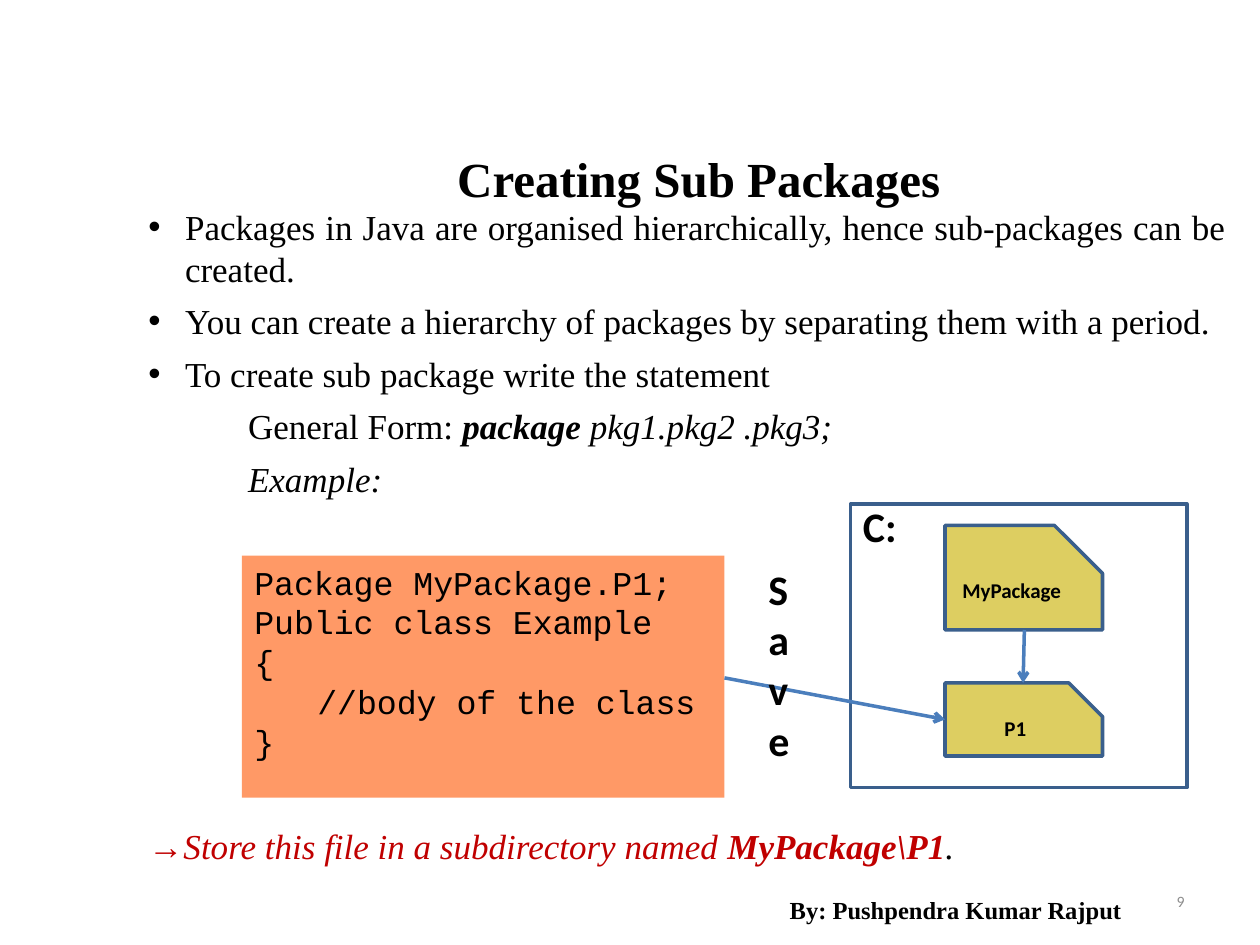
from lxml import etree
from pptx import Presentation
from pptx.dml.color import RGBColor
from pptx.enum import shapes, text
from pptx.oxml.ns import qn
from pptx.util import Inches, Pt

BLACK = RGBColor(0x00, 0x00, 0x00)
RED = RGBColor(0xC0, 0x00, 0x00)
GREY = RGBColor(0x8C, 0x8C, 0x8C)
ORANGE = RGBColor(0xFF, 0x99, 0x66)
YELLOW = RGBColor(0xDD, 0xCE, 0x61)
OUTLINE = RGBColor(0x3A, 0x5F, 0x8C)
ARROW = RGBColor(0x4B, 0x7E, 0xBC)
SERIF, SANS, MONO = "Times New Roman", "Calibri", "Courier New"
LEFT, CENTER = text.PP_ALIGN.LEFT, text.PP_ALIGN.CENTER
RIGHT, JUSTIFY = text.PP_ALIGN.RIGHT, text.PP_ALIGN.JUSTIFY
TOP, MIDDLE = text.MSO_ANCHOR.TOP, text.MSO_ANCHOR.MIDDLE

# Content
TITLE = "Creating Sub Packages"
BULLETS = [
    "Packages in Java are organised hierarchically, hence sub-packages can be created.",
    "You can create a hierarchy of packages by separating them with a period.",
    "To create sub package write the statement",
]
FORMS = [
    [("General Form: ", {}), ("package ", {"bold": True, "italic": True}),
     ("pkg1.pkg2 .pkg3;", {"italic": True})],
    [("Example:", {"italic": True})],
]
STORE = [
    ("→Store this file in a subdirectory named ", {"italic": True, "color": RED}),
    ("MyPackage\\P1", {"italic": True, "bold": True, "color": RED}),
    (".", {"italic": True}),
]
# Code lines with their indent in inches
CODE = [("Package MyPackage.P1;", 0), ("Public class Example", 0), ("{", 0),
        ("//body of the class", 0.5), ("}", 0)]
FOLDERS = [("MyPackage", (7.5, 4.17, 1.25, 0.83)), ("P1", (7.5, 5.42, 1.25, 0.58))]
ARROWS = [((5.75, 5.38), (7.5, 5.71)), ((8.13, 5), (8.12, 5.42))]
BIG = {"size": Pt(24), "name": SANS, "bold": True}
LABELS = [
    ("Save", (6, 4.42, 0.5, 1.72), LEFT, TOP, BIG),
    ("C:", (6.75, 3.92, 0.5, 0.5), LEFT, TOP, BIG),
    ("By: Pushpendra Kumar Rajput", (6, 7.02, 3.17, 0.4), CENTER, MIDDLE,
     {"size": Pt(14), "name": SERIF, "bold": True}),
    ("9", (7.17, 6.95, 2.33, 0.4), RIGHT, MIDDLE,
     {"size": Pt(9), "name": SANS, "color": GREY}),
]


def box(at):
    return [Inches(v) for v in at]


def add_run(p, words, fmt):
    r = p.add_run()
    r.text = words
    for key, value in {"color": BLACK, **fmt}.items():
        if key == "color":
            r.font.color.rgb = value
        else:
            setattr(r.font, key, value)


def set_indent(p, left, first=0):
    pPr = p._p.get_or_add_pPr()
    pPr.set("marL", str(Inches(left)))
    pPr.set("indent", str(Inches(first)))
    return pPr


def prepare(sp, anchor):
    tf = sp.text_frame
    tf.word_wrap = True
    tf.vertical_anchor = anchor
    return tf


def next_paragraph(tf, i):
    return tf.add_paragraph() if i else tf.paragraphs[0]


def add_shape(s, kind, at, fill=None, line=None):
    sp = s.shapes.add_shape(kind, *box(at))
    sp.shadow.inherit = False
    if fill is None:
        sp.fill.background()
    else:
        sp.fill.solid()
        sp.fill.fore_color.rgb = fill
    if line is None:
        sp.line.fill.background()
    else:
        sp.line.color.rgb = line
        sp.line.width = Pt(2)
    return sp


def add_label(s, words, at, align, anchor, fmt):
    p = prepare(s.shapes.add_textbox(*box(at)), anchor).paragraphs[0]
    p.alignment = align
    add_run(p, words, fmt)


def add_arrow(s, start, end):
    line = s.shapes.add_connector(shapes.MSO_CONNECTOR.STRAIGHT, *box(start + end))
    line.line.color.rgb = ARROW
    line.line.width = Pt(2)
    etree.SubElement(line.line._get_or_add_ln(), qn("a:tailEnd"), type="arrow")
    etree.SubElement(line._element.spPr, qn("a:effectLst"))


def add_body(s):
    tf = prepare(s.shapes.add_textbox(*box((1.08, 1.58, 8.75, 5.92))), TOP)
    rows = [("bullet", [(b, {})]) for b in BULLETS]
    rows += [("form", f) for f in FORMS] + [("store", STORE)]
    for i, (kind, runs) in enumerate(rows):
        p = next_paragraph(tf, i)
        p.alignment = LEFT if kind == "store" else JUSTIFY
        p.space_after = Pt(6)
        if kind == "form":
            set_indent(p, 0.79)
        else:
            pPr = set_indent(p, 0.29, -0.29)
        if kind == "store":
            p.space_before = Pt(180)  # room for the diagram
        if kind == "bullet":
            etree.SubElement(pPr, qn("a:buFont"), typeface="Arial")
            etree.SubElement(pPr, qn("a:buChar"), char="•")
        for words, fmt in runs:
            add_run(p, words, {"size": Pt(20), "name": SERIF, **fmt})


def main():
    prs = Presentation()
    prs.slide_width, prs.slide_height = Inches(10), Inches(7.5)
    s = prs.slides.add_slide(prs.slide_layouts[5])

    # Title and body
    title = s.shapes.title
    title.left, title.top, title.width, title.height = box((1.67, 1.08, 7.75, 0.58))
    p = prepare(title, TOP).paragraphs[0]
    p.alignment, p.line_spacing, p.space_before = CENTER, 1.1, Pt(0)
    add_run(p, TITLE, {"size": Pt(28), "name": SERIF, "bold": True})
    add_body(s)

    # Code panel
    rect = shapes.MSO_SHAPE.RECTANGLE
    tf = prepare(add_shape(s, rect, (1.92, 4.41, 3.83, 1.92), fill=ORANGE), TOP)
    for i, (words, indent) in enumerate(CODE):
        p = next_paragraph(tf, i)
        p.alignment = LEFT
        set_indent(p, indent)
        add_run(p, words, {"size": Pt(19), "name": MONO})

    # Drive with its folders
    add_shape(s, rect, (6.75, 4, 2.67, 2.25), line=OUTLINE)
    for name, at in FOLDERS:
        sp = add_shape(s, shapes.MSO_SHAPE.SNIP_1_RECTANGLE, at, YELLOW, OUTLINE)
        sp.adjustments[0] = 0.46
        p = prepare(sp, MIDDLE).paragraphs[0]
        p.alignment = CENTER
        add_run(p, name, {"size": Pt(12), "name": SANS, "bold": True})
    for start, end in ARROWS:
        add_arrow(s, start, end)

    # Labels and footer
    for label in LABELS:
        add_label(s, *label)

    prs.save("out.pptx")


if __name__ == "__main__":
    main()
